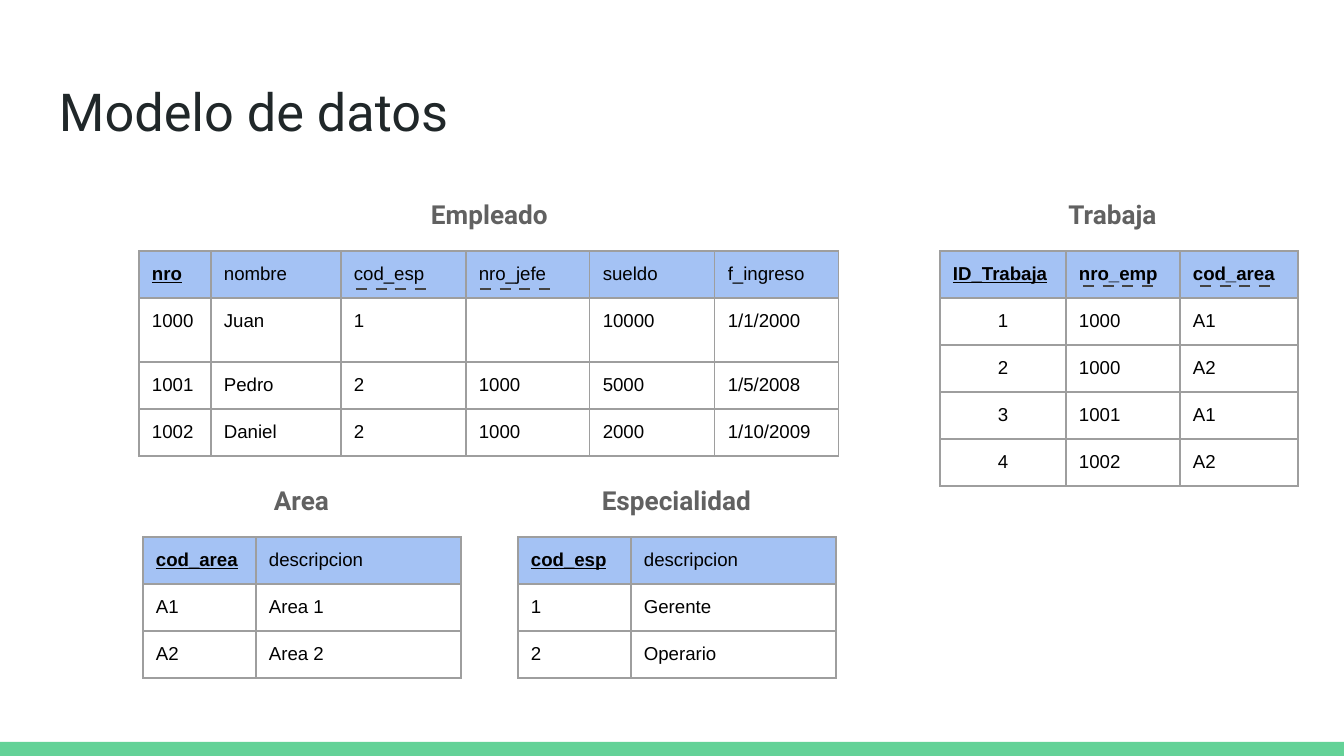
from dataclasses import dataclass

import pptx
import pptx.dml.color
import pptx.enum.dml
import pptx.enum.shapes
import pptx.enum.text
import pptx.oxml
import pptx.oxml.ns
import pptx.util

EMU_PER_PX = 914400 / 134.4
SLIDE_W, SLIDE_H = 1344, 756
INSET = 13
ROW_H = 47
LABEL_W, LABEL_H = 265, 56
LABEL_GAP = 70  # from the top of a label to the top of its table

GREEN, INK, GRAY = "63D297", "202729", "616161"
BLUE, BLACK, BORDER, DASH = "A4C2F4", "000000", "9E9E9E", "434343"


@dataclass(frozen=True)
class Relation:
    name: str
    label_left: int
    left: int
    top: int
    cols: tuple[int, ...]
    rows: tuple[tuple[str, ...], ...]
    bold_headers: int = 1
    centered_ids: bool = False
    tall_rows: tuple[int, ...] = ()


@dataclass(frozen=True)
class ForeignKey:
    left: int
    y: int
    width: int


RELATIONS = (
    Relation("Empleado", 357, 139, 251, (72, 130, 125, 124, 125, 124), (
        ("nro", "nombre", "cod_esp", "nro_jefe", "sueldo", "f_ingreso"),
        ("1000", "Juan", "1", "", "10000", "1/1/2000"),
        ("1001", "Pedro", "2", "1000", "5000", "1/5/2008"),
        ("1002", "Daniel", "2", "1000", "2000", "1/10/2009"),
    ), tall_rows=(1,)),
    Relation("Trabaja", 980, 940, 251, (126, 114, 118), (
        ("ID_Trabaja", "nro_emp", "cod_area"),
        ("1", "1000", "A1"),
        ("2", "1000", "A2"),
        ("3", "1001", "A1"),
        ("4", "1002", "A2"),
    ), bold_headers=3, centered_ids=True),
    Relation("Area", 169, 143, 537, (113, 205), (
        ("cod_area", "descripcion"),
        ("A1", "Area 1"),
        ("A2", "Area 2"),
    )),
    Relation("Especialidad", 544, 518, 537, (113, 205), (
        ("cod_esp", "descripcion"),
        ("1", "Gerente"),
        ("2", "Operario"),
    )),
)

FOREIGN_KEYS = (
    ForeignKey(356, 289, 73),
    ForeignKey(480, 289, 75),
    ForeignKey(1200, 286, 75),
    ForeignKey(1083, 286, 75),
)


def px(n: int) -> pptx.util.Emu:
    return pptx.util.Emu(round(n * EMU_PER_PX))


def rgb(color: str) -> pptx.dml.color.RGBColor:
    return pptx.dml.color.RGBColor.from_string(color)


def format_run(r, font: str, size: int, color: str, bold: bool = False) -> None:
    r.font.name = font
    r.font.size = pptx.util.Pt(size)
    r.font.color.rgb = rgb(color)
    r.font.bold = bold


def format_frame(tf) -> None:
    tf.word_wrap = True
    tf.auto_size = pptx.enum.text.MSO_AUTO_SIZE.NONE
    tf.vertical_anchor = pptx.enum.text.MSO_ANCHOR.TOP
    tf.margin_left = tf.margin_right = tf.margin_top = tf.margin_bottom = px(INSET)


def add_footer_bar(slide) -> None:
    sp = slide.shapes.add_shape(pptx.enum.shapes.MSO_SHAPE.RECTANGLE,
                                0, px(742), px(SLIDE_W), px(SLIDE_H - 742))
    sp.shadow.inherit = False
    sp.fill.solid()
    sp.fill.fore_color.rgb = rgb(GREEN)
    sp.line.fill.background()


def set_title(slide, text: str) -> None:
    sp = slide.shapes.title
    sp.left, sp.top, sp.width, sp.height = px(46), px(66), px(1252), px(85)
    format_frame(sp.text_frame)
    sp.text_frame.text = text
    p = sp.text_frame.paragraphs[0]
    p.alignment = pptx.enum.text.PP_ALIGN.LEFT
    format_run(p.runs[0], "Roboto", 28, INK)


def add_label(slide, relation: Relation) -> None:
    sp = slide.shapes.add_textbox(px(relation.label_left), px(relation.top - LABEL_GAP),
                                  px(LABEL_W), px(LABEL_H))
    format_frame(sp.text_frame)
    sp.text_frame.text = relation.name
    p = sp.text_frame.paragraphs[0]
    p.alignment = pptx.enum.text.PP_ALIGN.CENTER
    p.line_spacing = 1.15
    p.space_after = pptx.util.Pt(16)
    format_run(p.runs[0], "Roboto", 14, GRAY, bold=True)


def set_borders(cell) -> None:
    tc_pr = cell._tc.get_or_add_tcPr()
    for side in ("lnL", "lnR", "lnT", "lnB"):
        tc_pr.append(pptx.oxml.parse_xml(
            f'<a:{side} {pptx.oxml.ns.nsdecls("a")} w="{pptx.util.Pt(0.75)}">'
            f'<a:solidFill><a:srgbClr val="{BORDER}"/></a:solidFill></a:{side}>'))


def fill_cell(cell, text: str, header: bool, bold: bool, key: bool, centered: bool) -> None:
    cell.margin_left = cell.margin_right = cell.margin_top = cell.margin_bottom = px(INSET)
    set_borders(cell)
    if header:
        cell.fill.solid()
        cell.fill.fore_color.rgb = rgb(BLUE)
    else:
        cell.fill.background()
    p = cell.text_frame.paragraphs[0]
    if not text:
        p._p.get_or_add_endParaRPr().set("sz", "1000")
        return
    p.text = text
    if centered:
        p.alignment = pptx.enum.text.PP_ALIGN.CENTER
    format_run(p.runs[0], "Arial", 10, BLACK, bold)
    p.runs[0].font.underline = key


def add_relation(slide, relation: Relation) -> None:
    n_rows, n_cols = len(relation.rows), len(relation.cols)
    table = slide.shapes.add_table(n_rows, n_cols, px(relation.left), px(relation.top),
                                   px(sum(relation.cols)), px(ROW_H * n_rows)).table
    table.first_row = table.horz_banding = False
    for column, width in zip(table.columns, relation.cols):
        column.width = px(width)
    for i, values in enumerate(relation.rows):
        table.rows[i].height = px(64 if i in relation.tall_rows else ROW_H)
        for j, text in enumerate(values):
            header = i == 0
            fill_cell(table.cell(i, j), text, header,
                      bold=header and j < relation.bold_headers,
                      key=header and j == 0,
                      centered=relation.centered_ids and not header and j == 0)
    add_label(slide, relation)


def add_foreign_key(slide, key: ForeignKey) -> None:
    """Draw the dashed underline that marks a foreign key."""
    line = slide.shapes.add_connector(pptx.enum.shapes.MSO_CONNECTOR.STRAIGHT, px(key.left),
                                      px(key.y), px(key.left + key.width), px(key.y))
    line.line.color.rgb = rgb(DASH)
    line.line.width = pptx.util.Pt(1.5)
    line.line.dash_style = pptx.enum.dml.MSO_LINE.DASH
    line._element.spPr.append(pptx.oxml.parse_xml(
        f'<a:effectLst {pptx.oxml.ns.nsdecls("a")}/>'))


def main() -> None:
    prs = pptx.Presentation()
    prs.slide_width, prs.slide_height = px(SLIDE_W), px(SLIDE_H)
    slide = prs.slides.add_slide(prs.slide_layouts[5])
    add_footer_bar(slide)
    set_title(slide, "Modelo de datos")
    for relation in RELATIONS:
        add_relation(slide, relation)
    for key in FOREIGN_KEYS:
        add_foreign_key(slide, key)
    prs.save("out.pptx")


if __name__ == "__main__":
    main()
